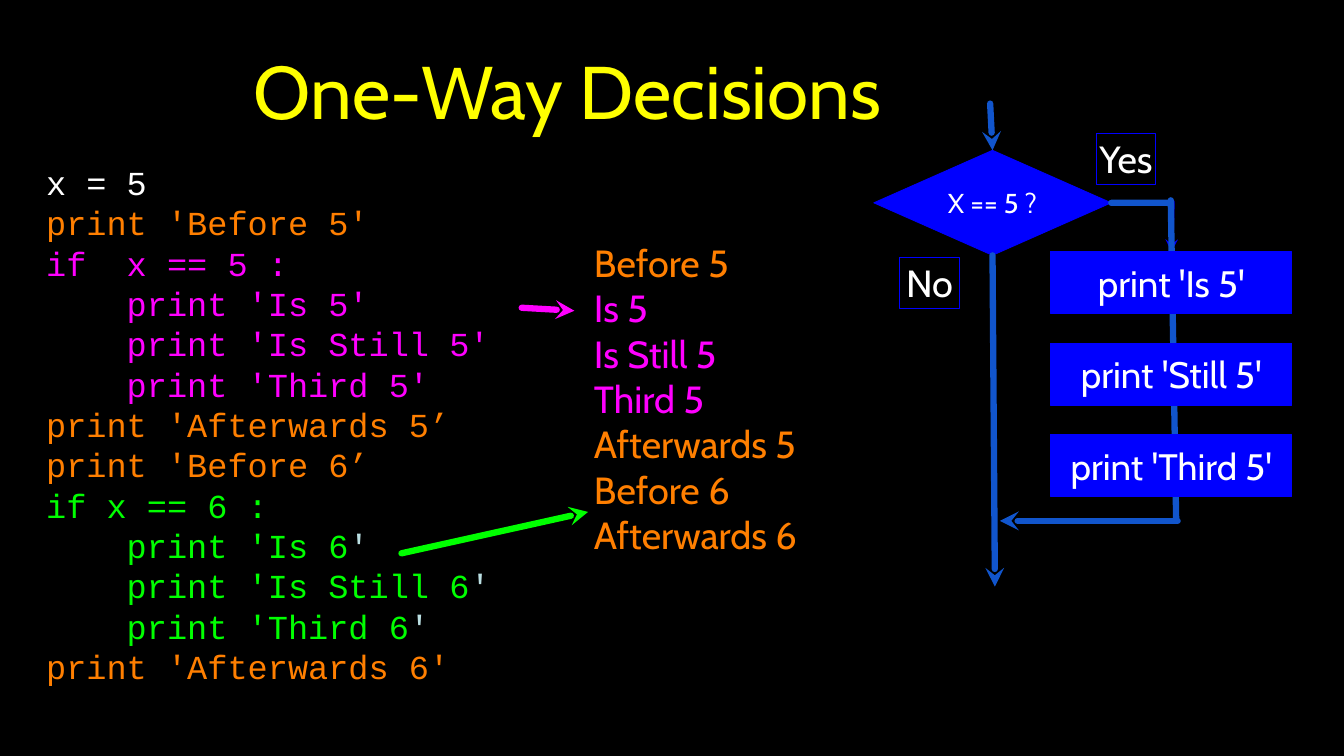
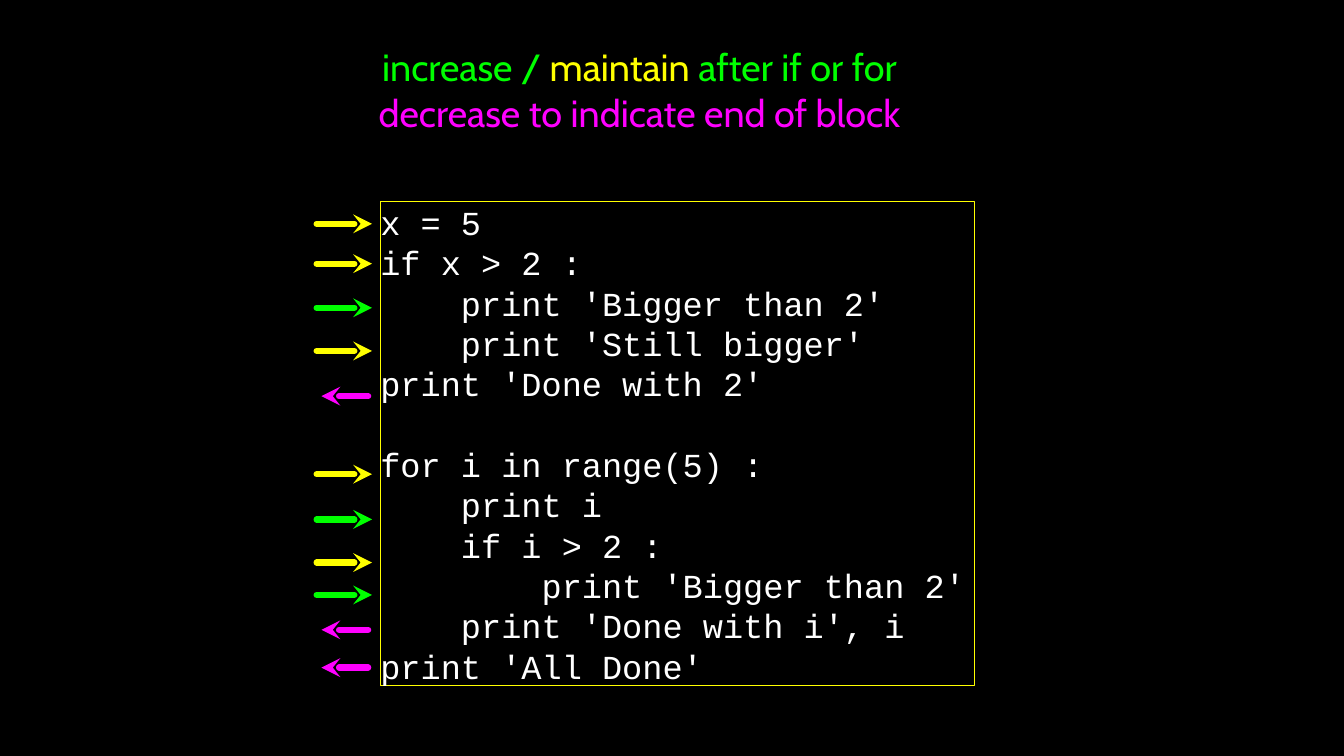
from lxml import etree
from pptx import Presentation
from pptx.dml.color import RGBColor
from pptx.enum.shapes import MSO_CONNECTOR, MSO_SHAPE
from pptx.enum.text import MSO_ANCHOR, PP_ALIGN
from pptx.oxml.ns import qn
from pptx.util import Cm, Pt

BLACK = RGBColor(0x00, 0x00, 0x00)
WHITE = RGBColor(0xFF, 0xFF, 0xFF)
YELLOW = RGBColor(0xFF, 0xFF, 0x00)
ORANGE = RGBColor(0xFF, 0x7F, 0x00)
MAGENTA = RGBColor(0xFF, 0x00, 0xFF)
GREEN = RGBColor(0x00, 0xFF, 0x00)
PALE = RGBColor(0xBB, 0xE0, 0xE3)
BLUE = RGBColor(0x00, 0x00, 0xFF)
FLOW = RGBColor(0x11, 0x55, 0xCC)

SANS = "Cabin"
MONO = "Courier New"
LINE_RATIO = 1.2

CODE = [
    [("x = 5", WHITE)],
    [("print 'Before 5'", ORANGE)],
    [("if  x == 5 :", MAGENTA)],
    [("    print 'Is 5'", MAGENTA)],
    [("    print 'Is Still 5'", MAGENTA)],
    [("    print 'Third 5'", MAGENTA)],
    [("print 'Afterwards 5’", ORANGE)],
    [("print 'Before 6’", ORANGE)],
    [("if x == 6 :", GREEN)],
    [("    print 'Is 6", GREEN), ("'", PALE)],
    [("    print 'Is Still 6", GREEN), ("'", PALE)],
    [("    print 'Third 6", GREEN), ("'", PALE)],
    [("print 'Afterwards 6'", ORANGE)],
]
OUTPUT = [
    [("Before 5", ORANGE)],
    [("Is 5", MAGENTA)],
    [("Is Still 5", MAGENTA)],
    [("Third 5", MAGENTA)],
    [("Afterwards 5", ORANGE)],
    [("Before 6", ORANGE)],
    [("Afterwards 6", ORANGE)],
]
BLOCK_END = "print 'Done with 2'"
INDENT_CODE = [
    "x = 5",
    "if x > 2 :",
    "    print 'Bigger than 2'",
    "    print 'Still bigger'",
    BLOCK_END,
    "for i in range(5) :",
    "    print i",
    "    if i > 2 :",
    "        print 'Bigger than 2'",
    "    print 'Done with i', i",
    "print 'All Done'",
]
LEGEND = [
    [("increase / ", GREEN), ("maintain", YELLOW), (" after if or for", GREEN)],
    [("decrease to indicate end of block", MAGENTA)],
]
INDENT_MARKS = [
    (7.52, YELLOW), (8.86, YELLOW), (10.34, GREEN), (11.79, YELLOW),
    (13.31, MAGENTA), (15.93, YELLOW), (17.45, GREEN), (18.9, YELLOW),
    (19.99, GREEN), (21.16, MAGENTA), (22.43, MAGENTA),
]


def style_run(r, size, font, color):
    r.font.size = Pt(size)
    r.font.name = font
    r.font.color.rgb = color


def fill_text(tf, lines, size, font, align=PP_ALIGN.LEFT):
    tf.word_wrap = True
    tf.vertical_anchor = MSO_ANCHOR.MIDDLE
    tf.margin_left = tf.margin_right = tf.margin_top = tf.margin_bottom = 0
    for i, runs in enumerate(lines):
        p = tf.paragraphs[0] if i == 0 else tf.add_paragraph()
        p.alignment = align
        p.line_spacing = Pt(size * LINE_RATIO)
        for text, color in runs:
            r = p.add_run()
            r.text = text
            style_run(r, size, font, color)


def add_text(s, box, lines, size, font, align=PP_ALIGN.LEFT):
    tf = s.shapes.add_textbox(*map(Cm, box)).text_frame
    fill_text(tf, lines, size, font, align)
    return tf


def add_box(s, kind, box, fill=None, line=BLUE, width=0.75):
    sp = s.shapes.add_shape(kind, *map(Cm, box))
    sp.shadow.inherit = False
    if fill is None:
        sp.fill.background()
    else:
        sp.fill.solid()
        sp.fill.fore_color.rgb = fill
    sp.line.color.rgb = line
    sp.line.width = Pt(width)
    return sp


def add_label(s, kind, box, text, size, fill=None):
    sp = add_box(s, kind, box, fill)
    fill_text(sp.text_frame, [[(text, WHITE)]], size, SANS, PP_ALIGN.CENTER)
    return sp


def add_line(s, start, end, color, width=6, arrow=True):
    cx = s.shapes.add_connector(MSO_CONNECTOR.STRAIGHT, *map(Cm, start + end))
    cx.line.color.rgb = color
    cx.line.width = Pt(width)
    ln = cx.line._get_or_add_ln()
    ln.set("cap", "rnd")
    if arrow:
        etree.SubElement(ln, qn("a:tailEnd"), type="stealth")
    etree.SubElement(cx._element.spPr, qn("a:effectLst"))
    return cx


def add_title(s, text):
    sp = s.shapes.title
    sp.left, sp.top, sp.width, sp.height = map(Cm, (5.89, 0.51, 26.37, 4.98))
    tf = sp.text_frame
    tf.text = text
    tf.vertical_anchor = MSO_ANCHOR.MIDDLE
    p = tf.paragraphs[0]
    p.alignment = PP_ALIGN.CENTER
    style_run(p.runs[0], 71, SANS, YELLOW)


def add_flowchart(s):
    rect = MSO_SHAPE.RECTANGLE
    entry = add_line(s, (33.27, 3.48), (33.32, 5.05), FLOW)
    test = add_label(s, MSO_SHAPE.DIAMOND, (29.36, 5.05, 7.98, 3.53), "X == 5 ?", 26, BLUE)
    entry.end_connect(test, 0)
    no_path = add_line(s, (33.27, 8.43), (33.43, 19.71), FLOW)
    no_path.begin_connect(test, 2)
    yes_path = add_line(s, (37.29, 6.78), (39.29, 6.81), FLOW, arrow=False)
    yes_path.begin_connect(test, 3)
    into_block = add_line(s, (39.4, 6.78), (39.34, 8.59), BLUE, 4)
    add_line(s, (39.34, 6.73), (39.52, 17.45), FLOW, arrow=False)
    add_line(s, (39.57, 17.5), (33.6, 17.5), FLOW)
    add_label(s, rect, (36.83, 4.47, 2.01, 1.73), "Yes", 36)
    add_label(s, rect, (30.23, 8.64, 2.01, 1.73), "No", 36)
    steps = [
        add_label(s, rect, (35.31, 8.46 + 3.07 * i, 8.1, 2.08), text, 35, BLUE)
        for i, text in enumerate(["print 'Is 5'", "print 'Still 5'", "print 'Third 5'"])
    ]
    into_block.end_connect(steps[0], 0)


def build_decisions(prs):
    s = prs.slides.add_slide(prs.slide_layouts[5])
    add_title(s, "One-Way Decisions")
    add_text(s, (1.55, 4.24, 15.88, 20.02), CODE, 32, MONO)
    add_text(s, (19.96, 8, 6.83, 10.77), OUTPUT, 36, SANS)
    add_line(s, (17.53, 10.34), (19.3, 10.44), MAGENTA)
    add_line(s, (13.49, 18.59), (19.76, 17.2), GREEN)
    add_flowchart(s)


def build_indentation(prs):
    s = prs.slides.add_slide(prs.slide_layouts[6])
    sp = add_box(s, MSO_SHAPE.RECTANGLE, (12.78, 6.78, 19.96, 16.26), line=YELLOW, width=1)
    fill_text(sp.text_frame, [[(text, WHITE)] for text in INDENT_CODE], 32, MONO)
    block_end = sp.text_frame.paragraphs[INDENT_CODE.index(BLOCK_END)]
    block_end.space_after = Pt(32 * LINE_RATIO)
    tf = add_text(s, (11.51, 0.99, 19.96, 4.62), LEGEND, 36, SANS, PP_ALIGN.CENTER)
    tf.margin_bottom = Cm(0.6)
    for y, color in INDENT_MARKS:
        start, end = (12.37, 10.8) if color == MAGENTA else (10.64, 12.5)
        add_line(s, (start, y), (end, y), color)


def main():
    prs = Presentation()
    prs.slide_width, prs.slide_height = Cm(45.16), Cm(25.4)
    bg = prs.slide_master.background.fill
    bg.solid()
    bg.fore_color.rgb = BLACK
    build_decisions(prs)
    build_indentation(prs)
    prs.save("out.pptx")


if __name__ == "__main__":
    main()
